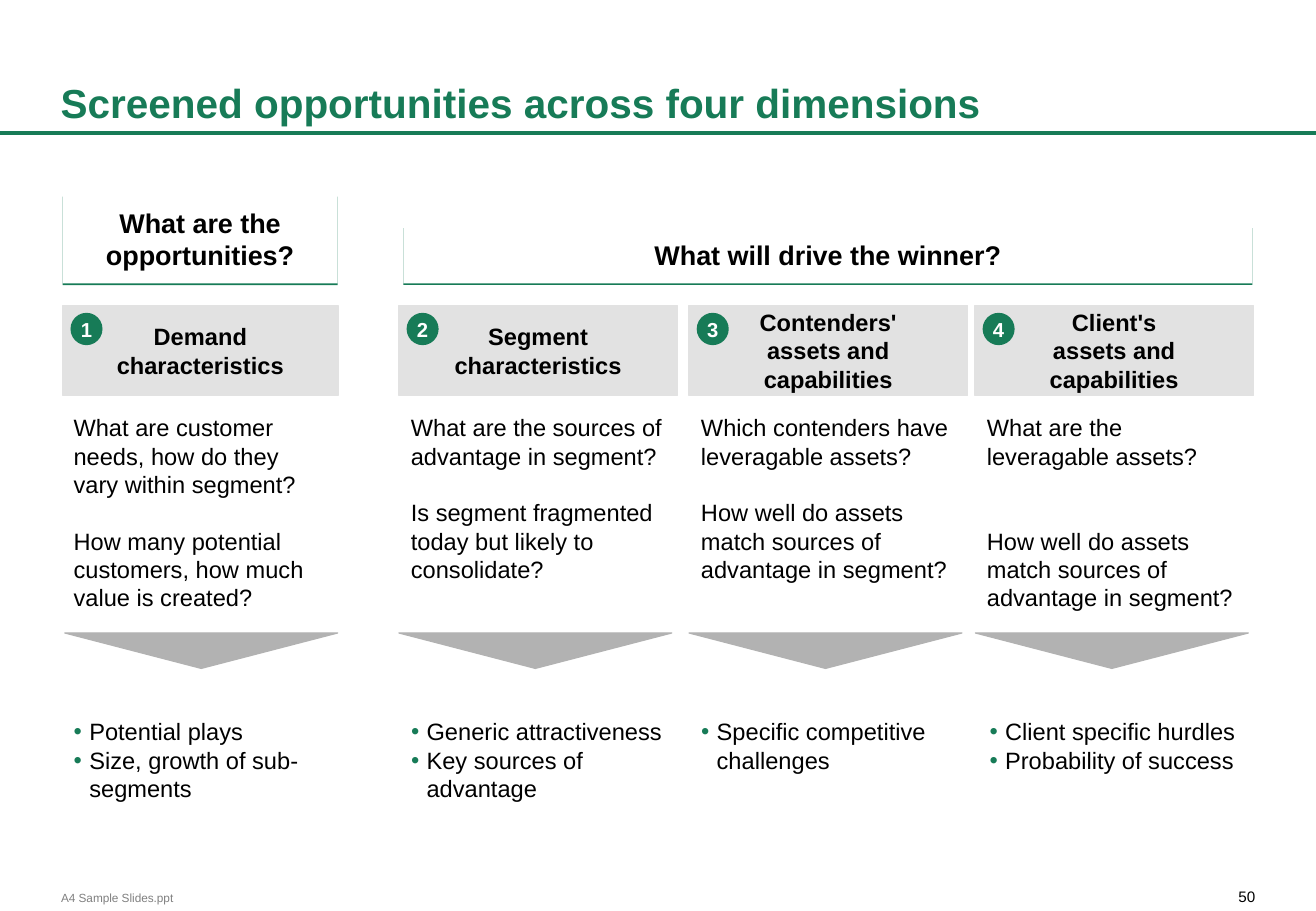
from dataclasses import dataclass

from lxml.etree import SubElement
from pptx import Presentation
from pptx.dml.color import RGBColor
from pptx.enum.shapes import MSO_CONNECTOR, MSO_SHAPE
from pptx.enum.text import MSO_ANCHOR, MSO_AUTO_SIZE, PP_ALIGN
from pptx.oxml.ns import qn
from pptx.shapes.autoshape import Shape
from pptx.slide import Slide
from pptx.util import Pt

GREEN, BLACK, WHITE = "177B57", "000000", "FFFFFF"
PALE, MID, GREY = "E2E2E2", "B2B2B2", "808080"
WIDTH, HEIGHT = 780.25, 540
LINE = 16.8  # height of one line of 14 pt text


@dataclass
class Box:
    left: float
    top: float
    width: float
    height: float


@dataclass
class Column:
    left: float
    width: float
    head: list[str]
    asks: list[str]
    items: list[str]
    gap: int = 1  # lines between the questions
    ask_dx: float = 0  # shifts from the left edge
    item_dx: float = 0
    arrow_dx: float = 0


@dataclass
class Banner:
    text: str
    box: Box


COLUMNS = [
    Column(37.2, 163.2, ["Demand", "characteristics"],
           ["What are customer needs, how do they vary within segment?",
            "How many potential customers, how much value is created?"],
           ["Potential plays", "Size, growth of sub-segments"],
           ask_dx=-0.7, item_dx=-0.7, arrow_dx=1.2),
    Column(236.5, 165.2, ["Segment", "characteristics"],
           ["What are the sources of advantage in segment?",
            "Is segment fragmented today but likely to consolidate?"],
           ["Generic attractiveness", "Key sources of advantage"]),
    Column(408.5, 165.2, ["Contenders'", "assets and capabilities"],
           ["Which contenders have leveragable assets?",
            "How well do assets match sources of advantage in segment?"],
           ["Specific competitive challenges"]),
    Column(578, 165.2, ["Client's", "assets and capabilities"],
           ["What are the leveragable assets?",
            "How well do assets match sources of advantage in segment?"],
           ["Client specific hurdles", "Probability of success"],
           gap=2, item_dx=1.5, arrow_dx=0.3),
]
BANNERS = [
    Banner("What are the opportunities?", Box(37.2, 115.6, 163, 52.4)),
    Banner("What will drive the winner?", Box(239.2, 134.2, 503.4, 33.8)),
]


def color(code: str) -> RGBColor:
    return RGBColor.from_string(code)


def place(shape: Shape, box: Box) -> None:
    shape.left, shape.top = Pt(box.left), Pt(box.top)
    shape.width, shape.height = Pt(box.width), Pt(box.height)


def write(shape: Shape, lines: list[str], size: float, ink: str = BLACK,
          bold: bool = False, align: PP_ALIGN = PP_ALIGN.LEFT,
          anchor: MSO_ANCHOR = MSO_ANCHOR.TOP, pad: tuple[float, float] = (7.2, 3.6),
          wrap: bool = True, gap: float = 0, bullet: bool = False) -> None:
    frame = shape.text_frame
    frame.text = "\n".join(lines)
    frame.auto_size = MSO_AUTO_SIZE.NONE
    frame.word_wrap, frame.vertical_anchor = wrap, anchor
    frame.margin_left = frame.margin_right = Pt(pad[0])
    frame.margin_top = frame.margin_bottom = Pt(pad[1])
    for i, para in enumerate(frame.paragraphs):
        para.alignment = align
        para.space_before, para.space_after = Pt(gap if i else 0), Pt(0)
        if bullet:
            mark(para._p.get_or_add_pPr())
        for run in para.runs:
            run.font.name, run.font.size, run.font.bold = "Arial", Pt(size), bold
            run.font.color.rgb = color(ink)


def mark(props) -> None:
    """Give a paragraph a green hanging bullet."""
    props.set("marL", str(Pt(9.2)))
    props.set("indent", str(-Pt(9.2)))
    tint = SubElement(props, qn("a:buClr"))
    SubElement(tint, qn("a:srgbClr"), val=GREEN)
    SubElement(props, qn("a:buFont"), typeface="Arial")
    SubElement(props, qn("a:buChar"), char="•")


def draw(slide: Slide, kind: MSO_SHAPE, box: Box, fill: str, edge: float = 0) -> Shape:
    shape = slide.shapes.add_shape(kind, 0, 0, 0, 0)
    place(shape, box)
    shape.shadow.inherit = False
    shape.fill.solid()
    shape.fill.fore_color.rgb = color(fill)
    if edge:
        shape.line.color.rgb = color(fill)
        shape.line.width = Pt(edge)
    else:
        shape.line.fill.background()
    return shape


def label(slide: Slide, text: str, box: Box, size: float, ink: str,
          align: PP_ALIGN) -> None:
    shape = slide.shapes.add_textbox(0, 0, 0, 0)
    place(shape, box)
    write(shape, [text], size, ink, align=align, pad=(0, 0), wrap=False)


def add_rule(slide: Slide) -> None:
    rule = slide.shapes.add_connector(MSO_CONNECTOR.STRAIGHT, Pt(WIDTH), Pt(79), 0, Pt(79))
    rule.line.color.rgb = color(GREEN)
    rule.line.width = Pt(2.25)
    SubElement(rule._element.spPr, qn("a:effectLst"))


def add_banner(slide: Slide, banner: Banner) -> None:
    shape = draw(slide, MSO_SHAPE.RECTANGLE, banner.box, WHITE)
    write(shape, [banner.text], 16, bold=True, align=PP_ALIGN.CENTER,
          anchor=MSO_ANCHOR.BOTTOM, pad=(7.2, 7.2))
    # A green shadow just below forms the underline
    effects = shape._element.spPr.find(qn("a:effectLst"))
    shade = SubElement(effects, qn("a:outerShdw"), dist=str(Pt(1)), dir="5400000",
                       algn="ctr", rotWithShape="0")
    SubElement(shade, qn("a:srgbClr"), val=GREEN)


def add_column(slide: Slide, col: Column, num: int, body: Shape) -> None:
    head = draw(slide, MSO_SHAPE.RECTANGLE, Box(col.left, 181, col.width, 53.5), PALE, 1)
    write(head, col.head, 14, bold=True, align=PP_ALIGN.CENTER, anchor=MSO_ANCHOR.MIDDLE)

    badge = draw(slide, MSO_SHAPE.OVAL, Box(col.left + 4.6, 185.4, 19, 19.2), GREEN)
    write(badge, [str(num)], 12, WHITE, True, PP_ALIGN.CENTER, MSO_ANCHOR.MIDDLE,
          (0, 0), False)

    asks = slide.shapes.add_textbox(0, 0, 0, 0)
    place(asks, Box(col.left + col.ask_dx, 241.4, 165.4, 162))
    write(asks, col.asks, 14, gap=col.gap * LINE)

    arrow = draw(slide, MSO_SHAPE.ISOSCELES_TRIANGLE,
                 Box(col.left + col.arrow_dx, 375.2, 161.8, 21), MID, 0.75)
    arrow.rotation = 180

    place(body, Box(col.left + col.item_dx, 421.6, 163.8, 65.5))
    write(body, col.items, 14, bullet=True)


def main() -> None:
    deck = Presentation()
    deck.slide_width, deck.slide_height = Pt(WIDTH), Pt(HEIGHT)
    slide = deck.slides.add_slide(deck.slide_layouts.get_by_name("Comparison"))
    title, *bodies = slide.placeholders

    # Title and rule
    place(title, Box(36, 13, 708.5, 65.5))
    write(title, ["Screened opportunities across four dimensions"], 24, GREEN, True,
          anchor=MSO_ANCHOR.BOTTOM, pad=(0, 3.6))
    add_rule(slide)

    # Banners and columns
    for banner in BANNERS:
        add_banner(slide, banner)
    for num, (col, body) in enumerate(zip(COLUMNS, bodies), 1):
        add_column(slide, col, num, body)

    # Footer
    label(slide, "A4 Sample Slides.ppt", Box(36.2, 527.8, 66.2, 8.6), 7, GREY, PP_ALIGN.LEFT)
    label(slide, "50", Box(729.2, 525.8, 15, 10.8), 9, BLACK, PP_ALIGN.RIGHT)
    deck.save("out.pptx")


if __name__ == "__main__":
    main()
